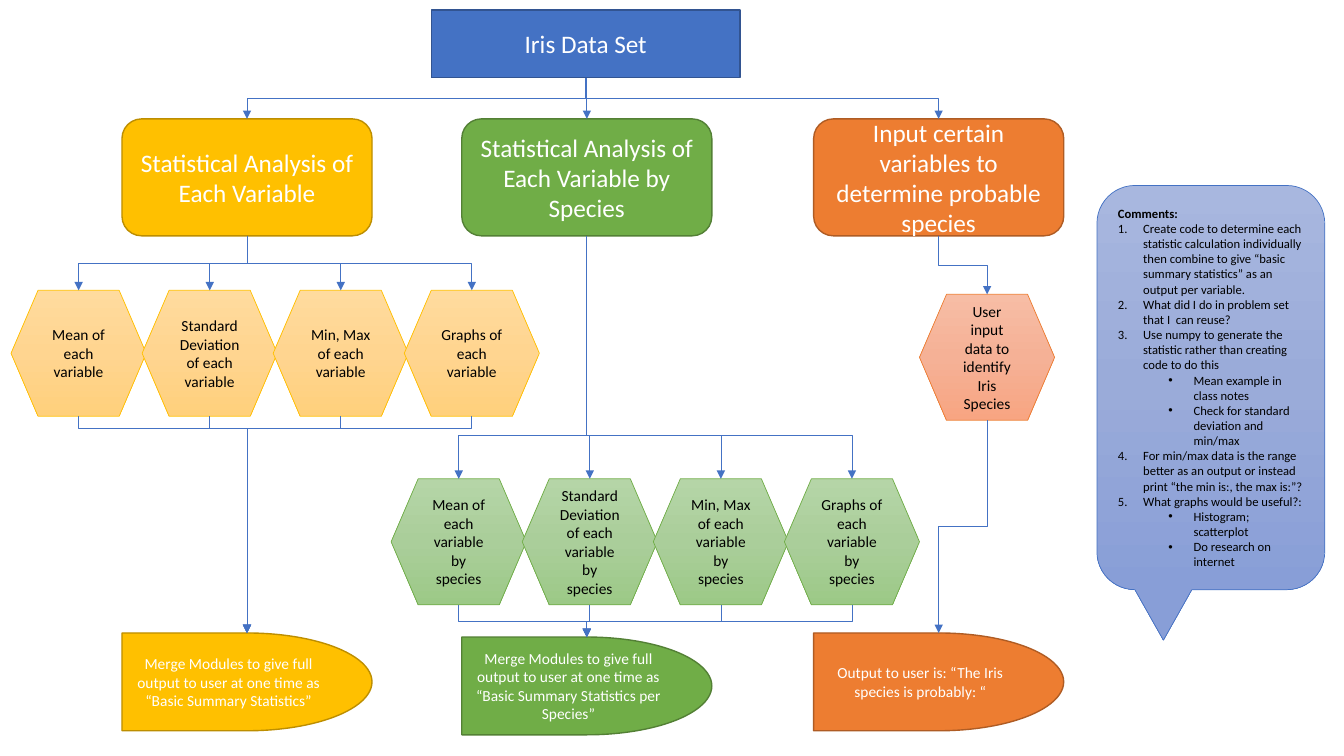
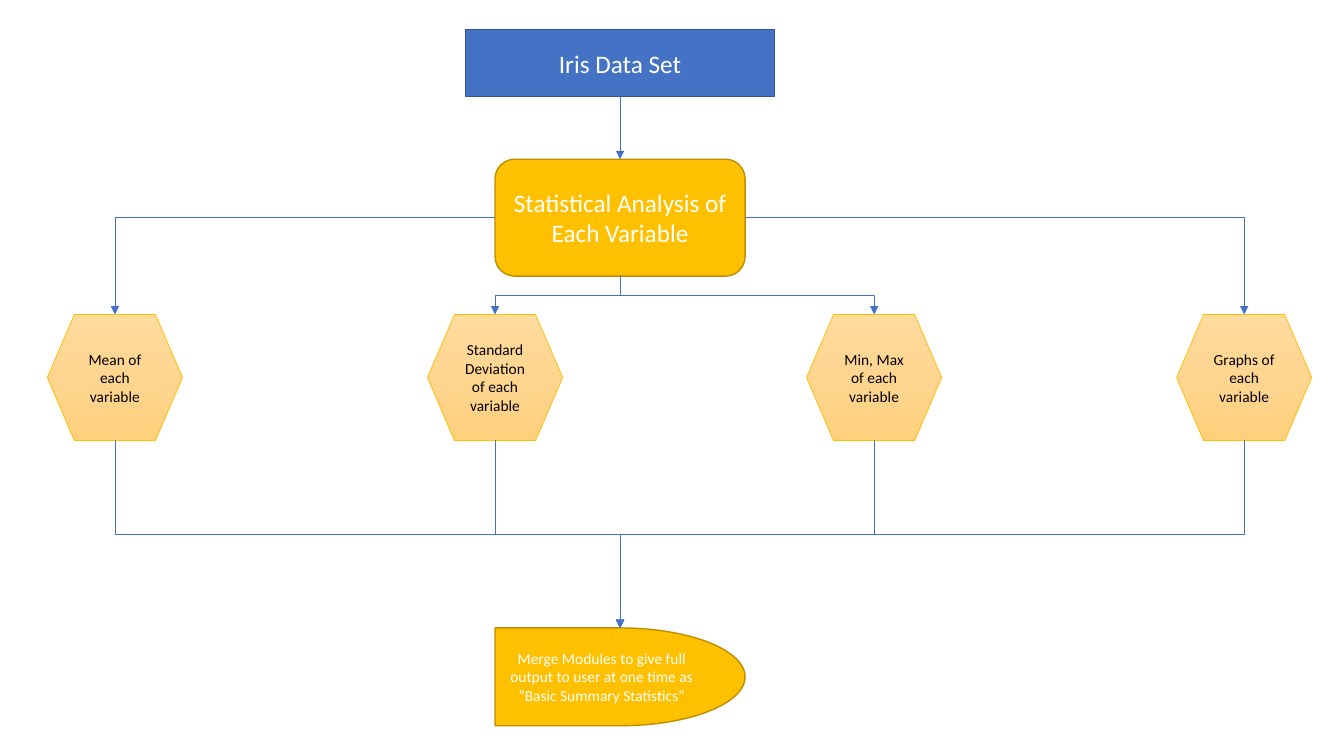
"""Build two flowcharts that plan an analysis of the Iris data set."""
from copy import deepcopy
from dataclasses import dataclass

from lxml import etree
from pptx import Presentation
from pptx import util as u
from pptx.dml import color
from pptx.enum import shapes, text
from pptx.oxml import ns


@dataclass(frozen=True)
class Theme:
    font: str = "Calibri"
    heading: int = 18
    body: int = 11
    note: int = 9
    bold_line: float = 1
    thin_line: float = 0.5
    light: str = "FFFFFF"
    dark: str = "000000"
    blue: tuple = ("4472C4", "325491", ("A8B7DF", "9AABD9", "889ED7"))
    yellow: tuple = ("FFC000", "BD8E00", ("FFDB9E", "FFD590", "FFD07C"))
    green: tuple = ("70AD47", "538035", ("B5D5A7", "AACE9A", "9CC987"))
    orange: tuple = ("ED7D31", "AF5C24", ("F7BDA5", "F5B196", "F8A582"))


THEME = Theme()
KIND = shapes.MSO_SHAPE
BOTTOM, LEFT, RIGHT, TOP = 2, 1, 3, 0


def rgb(value):
    return color.RGBColor.from_string(value)


def add_element(parent, tag, **attributes):
    return etree.SubElement(parent, ns.qn(tag), attributes)


class Flowchart:
    def __init__(self, presentation):
        self.presentation = presentation
        self.slide = None

    def new_slide(self):
        self.slide = self.presentation.slides.add_slide(self.presentation.slide_layouts[6])

    def add_words(self, paragraph, words, size, ink, bold=False):
        run = paragraph.add_run()
        run.text = words
        for name, value in {"name": THEME.font, "size": u.Pt(size), "bold": bold}.items():
            setattr(run.font, name, value)
        run.font.color.rgb = rgb(ink)

    def shape(self, kind, box, palette, gradient=False):
        shape = self.slide.shapes.add_shape(kind, *map(u.Inches, box))
        shape.shadow.inherit = False
        fill, outline, shades = palette
        if gradient:
            shape.fill.gradient()
            shape.fill.gradient_angle = 270
            stops = next(shape._element.spPr.iter(ns.qn("a:gsLst")))
            stops.insert(1, deepcopy(stops[0]))
            for stop, shade, position in zip(shape.fill.gradient_stops, shades, (0, 0.5, 1)):
                stop.color.rgb = rgb(shade)
                stop.position = position
        else:
            shape.fill.solid()
            shape.fill.fore_color.rgb = rgb(fill)
        shape.line.color.rgb = rgb(fill if gradient else outline)
        shape.line.width = u.Pt(THEME.thin_line if gradient else THEME.bold_line)
        shape.text_frame.word_wrap = True
        shape.text_frame.vertical_anchor = text.MSO_ANCHOR.MIDDLE
        return shape

    def step(self, kind, box, palette, words, size=THEME.body, gradient=False):
        shape = self.shape(kind, box, palette, gradient)
        paragraph = shape.text_frame.paragraphs[0]
        paragraph.alignment = text.PP_ALIGN.CENTER
        self.add_words(paragraph, words, size, THEME.dark if gradient else THEME.light)
        return shape

    def source(self, left, top):
        return self.step(KIND.FLOWCHART_PROCESS, (left, top, 3.06, 0.67), THEME.blue,
                         "Iris Data Set", THEME.heading)

    def branch(self, left, top, palette, words):
        return self.step(KIND.FLOWCHART_ALTERNATE_PROCESS, (left, top, 2.48, 1.16), palette,
                         words, THEME.heading)

    def task(self, left, top, palette, words):
        return self.step(KIND.FLOWCHART_PREPARATION, (left, top, 1.34, 1.25), palette,
                         words, gradient=True)

    def tasks(self, lefts, top, palette, labels):
        return [self.task(left, top, palette, words) for left, words in zip(lefts, labels)]

    def result(self, left, top, palette, words):
        return self.step(KIND.FLOWCHART_DELAY, (left, top, 2.48, 0.97), palette, words)

    def comments(self, box, title, items):
        frame = self.shape(KIND.ROUNDED_RECTANGULAR_CALLOUT, box, THEME.blue, True).text_frame
        paragraph = frame.paragraphs[0]
        paragraph.alignment = text.PP_ALIGN.LEFT
        self.add_words(paragraph, title, THEME.note, THEME.dark, True)
        for level, words in items:
            paragraph = frame.add_paragraph()
            paragraph.alignment = text.PP_ALIGN.LEFT
            paragraph.level = level
            properties = paragraph._p.get_or_add_pPr()
            properties.set("marL", str(u.Inches(0.25 + 0.5 * level)))
            properties.set("indent", str(u.Inches(-0.25)))
            if level:
                add_element(properties, "a:buFont", typeface="Arial")
                add_element(properties, "a:buChar", char="•")
            else:
                add_element(properties, "a:buAutoNum", type="arabicPeriod")
            self.add_words(paragraph, words, THEME.note, THEME.dark)

    def link(self, start, end, side=BOTTOM, bend=0.5):
        x1, y1 = {
            BOTTOM: (start.left + start.width // 2, start.top + start.height),
            LEFT: (start.left, start.top + start.height // 2),
            RIGHT: (start.left + start.width, start.top + start.height // 2),
        }[side]
        x2, y2 = end.left + end.width // 2, end.top
        straight = abs(x2 - x1) < u.Inches(0.005)
        kind = shapes.MSO_CONNECTOR.STRAIGHT if straight else shapes.MSO_CONNECTOR.ELBOW
        connector = self.slide.shapes.add_connector(kind, x1, y1, x2, y2)
        connector.begin_connect(start, side)
        connector.end_connect(end, TOP)
        connector.line.color.rgb = rgb(THEME.blue[0])
        connector.line.width = u.Pt(THEME.thin_line)
        add_element(connector.line._get_or_add_ln(), "a:tailEnd", type="triangle")
        add_element(connector._element.spPr, "a:effectLst")
        if not straight:
            self.route(connector, (x1, y1), (x2, y2), side, bend)

    def route(self, connector, start, end, side, bend):
        (x1, y1), (x2, y2) = start, end
        across, down = abs(x2 - x1), y2 - y1
        properties = connector._element.spPr
        geometry = properties.find(ns.qn("a:prstGeom"))
        if side == BOTTOM:
            width, height = down, across
            turn = {"rot": "5400000"} if x2 < x1 else {"rot": "16200000", "flipH": "1"}
            guides = geometry.find(ns.qn("a:avLst"))
            add_element(guides, "a:gd", name="adj1", fmla=f"val {round(bend * 100000)}")
        else:
            width, height = across, down
            turn = {"rot": "10800000", "flipV": "1"} if side == LEFT else {}
            geometry.set("prst", "bentConnector2")
        frame = {"left": (x1 + x2 - width) // 2, "top": (y1 + y2 - height) // 2,
                 "width": width, "height": height}
        for name, value in frame.items():
            setattr(connector, name, u.Emu(value))
        transform = properties.find(ns.qn("a:xfrm"))
        for name in ("rot", "flipH", "flipV"):
            transform.attrib.pop(name, None)
        for name, value in turn.items():
            transform.set(name, value)

    def split(self, start, ends, bend=0.5):
        for end in ends:
            self.link(start, end, bend=bend)

    def merge(self, starts, end, bend=0.5):
        for start in starts:
            self.link(start, end, bend=bend)


MEASURES = ("Mean of each variable", "Standard Deviation of each variable",
            "Min, Max of each variable", "Graphs of each variable")
ANALYSIS = "Statistical Analysis of Each Variable"
MERGED = "Merge Modules to give full output to user at one time as “Basic Summary Statistics"
COMMENTS = (
    (0, "Create code to determine each statistic calculation individually then combine "
        "to give “basic summary statistics” as an output per variable."),
    (0, "What did I do in problem set that I  can reuse?"),
    (0, "Use numpy to generate the statistic rather than creating code to do this"),
    (1, "Mean example in class notes"),
    (1, "Check for standard deviation and min/max"),
    (0, "For min/max data is the range better as an output or instead print "
        "“the min is:, the max is:”?"),
    (0, "What graphs would be useful?:"),
    (1, "Histogram; scatterplot"),
    (1, "Do research on internet"),
)


def build_overview(chart):
    chart.new_slide()
    source = chart.source(4.28, 0.1)
    branches = [chart.branch(left, 1.18, palette, words) for left, palette, words in (
        (1.21, THEME.yellow, ANALYSIS),
        (4.58, THEME.green, f"{ANALYSIS} by Species"),
        (8.07, THEME.orange, "Input certain variables to determine probable species"))]
    by_variable = chart.tasks([0.11 + 1.3 * i for i in range(4)], 2.88, THEME.yellow, MEASURES)
    by_species = chart.tasks([3.88 + 1.3 * i for i in range(4)], 4.75, THEME.green,
                             [f"{measure} by species" for measure in MEASURES])
    user_input = chart.task(9.12, 2.92, THEME.orange, "User input data to identify Iris Species")
    results = [chart.result(left, top, palette, words) for left, top, palette, words in (
        (1.21, 6.28, THEME.yellow, f"{MERGED}”"),
        (4.58, 6.32, THEME.green, f"{MERGED} per Species”"),
        (8.07, 6.28, THEME.orange, "Output to user is: “The Iris species is probably: “"))]
    chart.split(source, branches)
    groups = ((by_variable, 0.5, 0.055), (by_species, 0.823, 0.5), ([user_input], 0.5, 0.5))
    for branch, (tasks, fork, join), result in zip(branches, groups, results):
        chart.split(branch, tasks, fork)
        chart.merge(tasks, result, join)
    chart.comments((10.88, 1.84, 2.26, 4.01), "Comments:", COMMENTS)


def build_variable_detail(chart):
    chart.new_slide()
    source = chart.source(4.62, 0.29)
    branch = chart.branch(4.91, 1.58, THEME.yellow, ANALYSIS)
    tasks = chart.tasks((0.47, 4.24, 8, 11.67), 3.12, THEME.yellow, MEASURES)
    result = chart.result(4.91, 6.23, THEME.yellow, f"{MERGED}”")
    chart.link(source, branch)
    for task, side in zip(tasks, (LEFT, BOTTOM, BOTTOM, RIGHT)):
        chart.link(branch, task, side)
    chart.merge(tasks, result)


presentation = Presentation()
presentation.slide_width = u.Inches(13.33)
presentation.slide_height = u.Inches(7.5)
flowchart = Flowchart(presentation)
build_overview(flowchart)
build_variable_detail(flowchart)
presentation.save("out.pptx")
